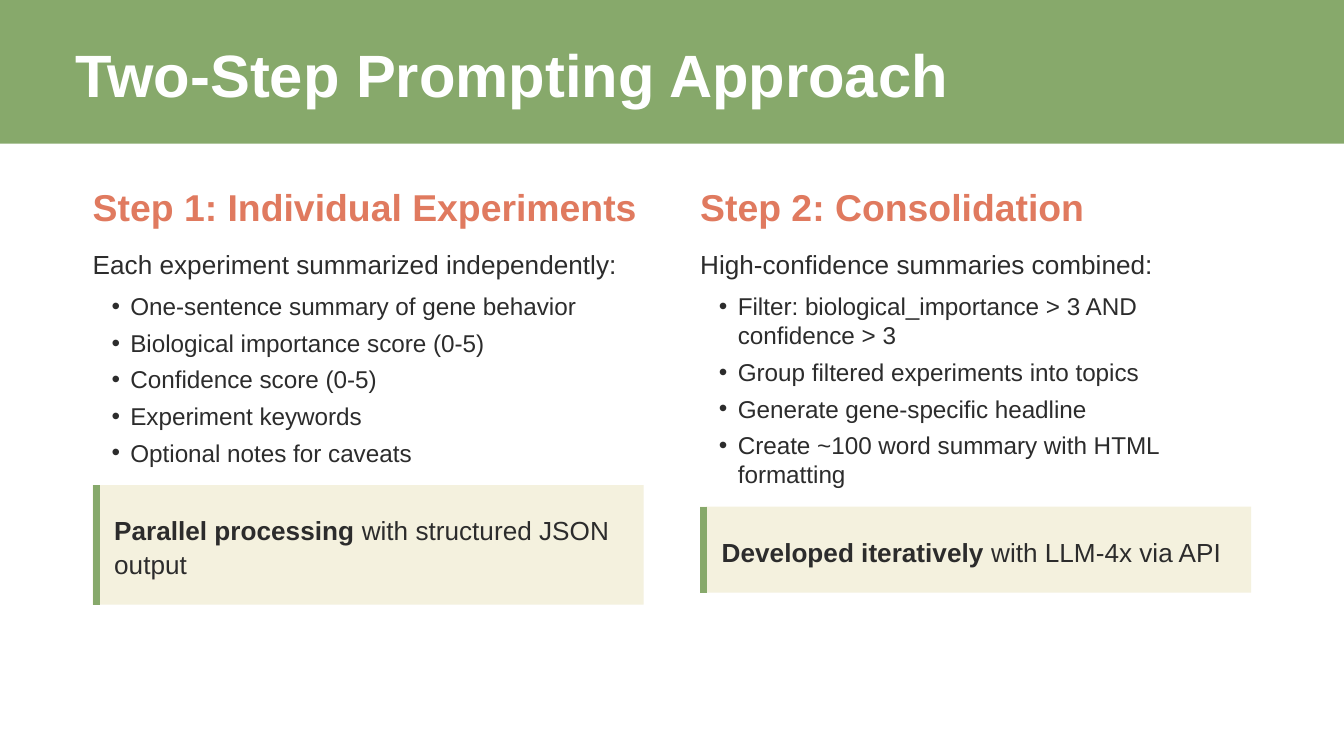
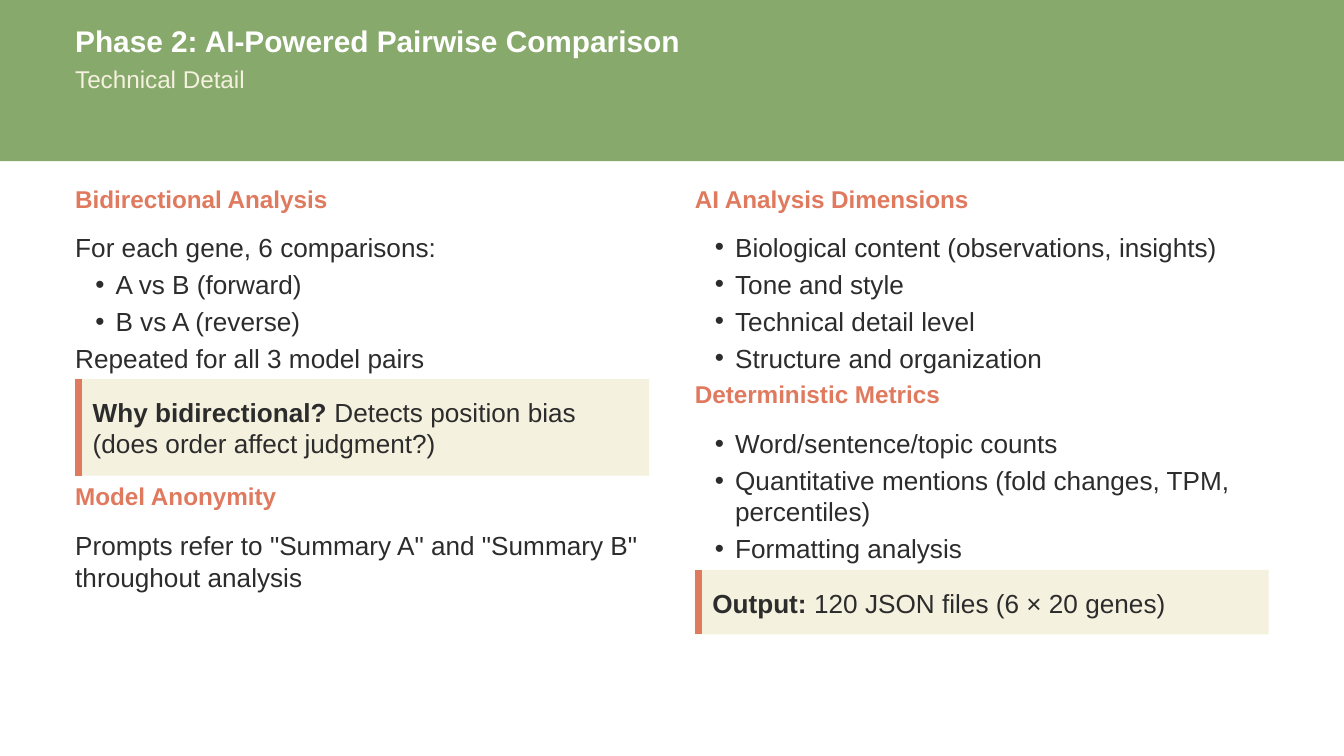
from dataclasses import dataclass

from lxml import etree
from pptx import Presentation
from pptx.dml.color import RGBColor
from pptx.enum.shapes import MSO_CONNECTOR, MSO_SHAPE
from pptx.enum.text import MSO_ANCHOR, MSO_AUTO_SIZE, PP_ALIGN
from pptx.oxml.ns import qn
from pptx.util import Inches, Pt

RECT = MSO_SHAPE.RECTANGLE
STRAIGHT = MSO_CONNECTOR.STRAIGHT
TOP = MSO_ANCHOR.TOP
NO_FIT = MSO_AUTO_SIZE.NONE
LEFT = PP_ALIGN.LEFT

FONT = "Arial"
GREEN, CORAL, CREAM = "87A96B", "E07A5F", "F4F1DE"
INK, WHITE = "2C2C2C", "FFFFFF"
TITLE_ONLY = 5
SLIDE_W = 10
SLIDE_H = SLIDE_W * 9 / 16
TITLE_X, TITLE_W = 0.56, 9.07
TEXT_STRETCH = 1.02
BAR_PT = 3.75


def rgb(hex_string):
    """Return the colour for a hex string."""
    return RGBColor.from_string(hex_string)


@dataclass
class Look:
    """Sizes and accents of one content slide."""
    col_w: float
    heading_pt: float
    heading_h: float
    body_pt: float
    body_line: float
    body_after: float
    bullet_pt: float
    bullet_line: float
    bullet_after: float
    indent: float
    bar: str
    pad_x: float
    pad_y: float
    pad_right: float


STEPS = Look(4.1, 20, 0.32, 14, 18.2, 6, 13, 15.6, 4, 0.14, GREEN, 0.16, 0.2, 0.04)
DETAIL = Look(4.27, 13, 0.22, 14, 16.8, 3, 14, 16.8, 3, 0.15, CORAL, 0.13, 0.13, 0.01)


class Deck:
    """Builds slides in one shared style."""

    def __init__(self):
        """Start an empty presentation."""
        self.prs = Presentation()
        self.prs.slide_width = Inches(SLIDE_W)
        self.prs.slide_height = Inches(SLIDE_H)
        self.s = None
        self.look = None

    def frame(self, tf, inset=0):
        """Set the margins, wrapping and anchor of a text frame."""
        tf.margin_left = Inches(inset)
        tf.margin_top = tf.margin_right = tf.margin_bottom = 0
        tf.word_wrap = True
        tf.auto_size = NO_FIT
        tf.vertical_anchor = TOP

    def format(self, p, size, color, bold=False, line=None, after=0):
        """Format a paragraph and its runs."""
        p.alignment = LEFT
        p.space_after = Pt(after)
        if line:
            p.line_spacing = Pt(line)
        for r in p.runs:
            r.font.name = FONT
            r.font.size = Pt(size)
            r.font.bold = bold
            r.font.color.rgb = rgb(color)

    def rect(self, x, y, w, h, fill):
        """Add a plain filled rectangle."""
        sp = self.s.shapes.add_shape(RECT, Inches(x), Inches(y), Inches(w), Inches(h))
        sp.shadow.inherit = False
        sp.fill.solid()
        sp.fill.fore_color.rgb = rgb(fill)
        sp.line.fill.background()
        return sp

    def textbox(self, x, y, w, h, inset=0):
        """Add an empty text box and return its frame."""
        tf = self.s.shapes.add_textbox(Inches(x), Inches(y), Inches(w), Inches(h)).text_frame
        self.frame(tf, inset)
        return tf

    def slide(self, title, look, band_h, y, h, size):
        """Start a slide with a title on a coloured band."""
        self.look = look
        self.s = self.prs.slides.add_slide(self.prs.slide_layouts[TITLE_ONLY])
        self.s.background.fill.solid()
        self.s.background.fill.fore_color.rgb = rgb(WHITE)
        band = self.rect(0, 0, SLIDE_W, band_h, GREEN).element
        band.getparent().insert(2, band)
        sp = self.s.shapes.title
        sp.left, sp.top = Inches(TITLE_X), Inches(y)
        sp.width, sp.height = Inches(TITLE_W), Inches(h)
        tf = sp.text_frame
        tf.text = title
        self.frame(tf)
        self.format(tf.paragraphs[0], size, WHITE, bold=True)

    def subtitle(self, text, y):
        """Add a small line under the title."""
        p = self.textbox(TITLE_X, y, TITLE_W, 0.22).paragraphs[0]
        p.text = text
        self.format(p, 13, CREAM, line=15.6)

    def heading(self, x, y, text):
        """Add a section heading."""
        k = self.look
        p = self.textbox(x, y, k.col_w * TEXT_STRETCH, k.heading_h).paragraphs[0]
        p.text = text
        self.format(p, k.heading_pt, CORAL, bold=True, after=10)

    def body(self, x, y, text, lines=1):
        """Add a plain paragraph."""
        k = self.look
        p = self.textbox(x, y, k.col_w * TEXT_STRETCH, lines * k.body_line / 72).paragraphs[0]
        p.text = text
        self.format(p, k.body_pt, INK, line=k.body_line, after=k.body_after)

    def bullets(self, x, y, h, items):
        """Add a bulleted list."""
        k = self.look
        tf = self.textbox(x, y, k.col_w, h, k.indent)
        tf.text = "\n".join(items)
        for p in tf.paragraphs:
            pPr = p._p.get_or_add_pPr()
            pPr.set("marL", str(Inches(k.indent)))
            pPr.set("indent", str(-Inches(k.indent)))
            etree.SubElement(pPr, qn("a:buSzPct")).set("val", "100000")
            etree.SubElement(pPr, qn("a:buFont")).set("typeface", FONT)
            etree.SubElement(pPr, qn("a:buChar")).set("char", "•")
            self.format(p, k.bullet_pt, INK, line=k.bullet_line, after=k.bullet_after)

    def callout(self, x, y, h, lead, rest):
        """Add a cream box with an accent bar and a bold lead-in."""
        k = self.look
        self.rect(x, y, k.col_w, h, CREAM)
        bar_x = Inches(x) + Pt(BAR_PT / 2)
        bar = self.s.shapes.add_connector(STRAIGHT, bar_x, Inches(y), bar_x, Inches(y + h))
        bar.line.color.rgb = rgb(k.bar)
        bar.line.width = Pt(BAR_PT)
        etree.SubElement(bar.element.spPr, qn("a:effectLst"))
        w = k.col_w - k.pad_x - k.pad_right
        p = self.textbox(x + k.pad_x, y + k.pad_y, w, h - 2 * k.pad_y).paragraphs[0]
        p.text = lead
        p.add_run().text = rest
        self.format(p, k.body_pt, INK, line=k.body_line, after=k.body_after)
        p.runs[0].font.bold = True


def add_prompting(deck):
    """Build the two-step prompting slide."""
    deck.slide("Two-Step Prompting Approach", STEPS, 1.07, 0.28, 0.51, 32)
    steps = [
        (0.69, "Step 1: Individual Experiments", "Each experiment summarized independently:",
         1.3, ["One-sentence summary of gene behavior", "Biological importance score (0-5)",
               "Confidence score (0-5)", "Experiment keywords", "Optional notes for caveats"],
         3.61, 0.89, "Parallel processing", " with structured JSON output"),
        (5.21, "Step 2: Consolidation", "High-confidence summaries combined:",
         1.47, ["Filter: biological_importance > 3 AND confidence > 3",
                "Group filtered experiments into topics", "Generate gene-specific headline",
                "Create ~100 word summary with HTML formatting"],
         3.77, 0.64, "Developed iteratively", " with LLM-4x via API"),
    ]
    for x, heading, intro, list_h, items, note_y, note_h, lead, rest in steps:
        deck.heading(x, 1.37, heading)
        deck.body(x, 1.83, intro)
        deck.bullets(x, 2.17, list_h, items)
        deck.callout(x, note_y, note_h, lead, rest)


def add_comparison(deck):
    """Build the pairwise comparison slide."""
    deck.slide("Phase 2: AI-Powered Pairwise Comparison", DETAIL, 1.2, 0.17, 0.26, 16)
    deck.subtitle("Technical Detail", 0.48)
    left, right = 0.56, 5.17

    deck.heading(left, 1.37, "Bidirectional Analysis")
    deck.body(left, 1.72, "For each gene, 6 comparisons:")
    deck.bullets(left, 2, 0.51, ["A vs B (forward)", "B vs A (reverse)"])
    deck.body(left, 2.55, "Repeated for all 3 model pairs")
    deck.callout(left, 2.82, 0.72, "Why bidirectional?",
                 " Detects position bias (does order affect judgment?)")
    deck.heading(left, 3.58, "Model Anonymity")
    deck.body(left, 3.94, 'Prompts refer to "Summary A" and "Summary B" throughout analysis', 2)

    deck.heading(right, 1.37, "AI Analysis Dimensions")
    deck.bullets(right, 1.72, 1.06, [
        "Biological content (observations, insights)", "Tone and style",
        "Technical detail level", "Structure and organization"])
    deck.heading(right, 2.82, "Deterministic Metrics")
    deck.bullets(right, 3.18, 1.02, [
        "Word/sentence/topic counts",
        "Quantitative mentions (fold changes, TPM, percentiles)", "Formatting analysis"])
    deck.callout(right, 4.24, 0.48, "Output:", " 120 JSON files (6 × 20 genes)")


def main():
    """Build and save the deck."""
    deck = Deck()
    add_prompting(deck)
    add_comparison(deck)
    deck.prs.save("out.pptx")


if __name__ == "__main__":
    main()
